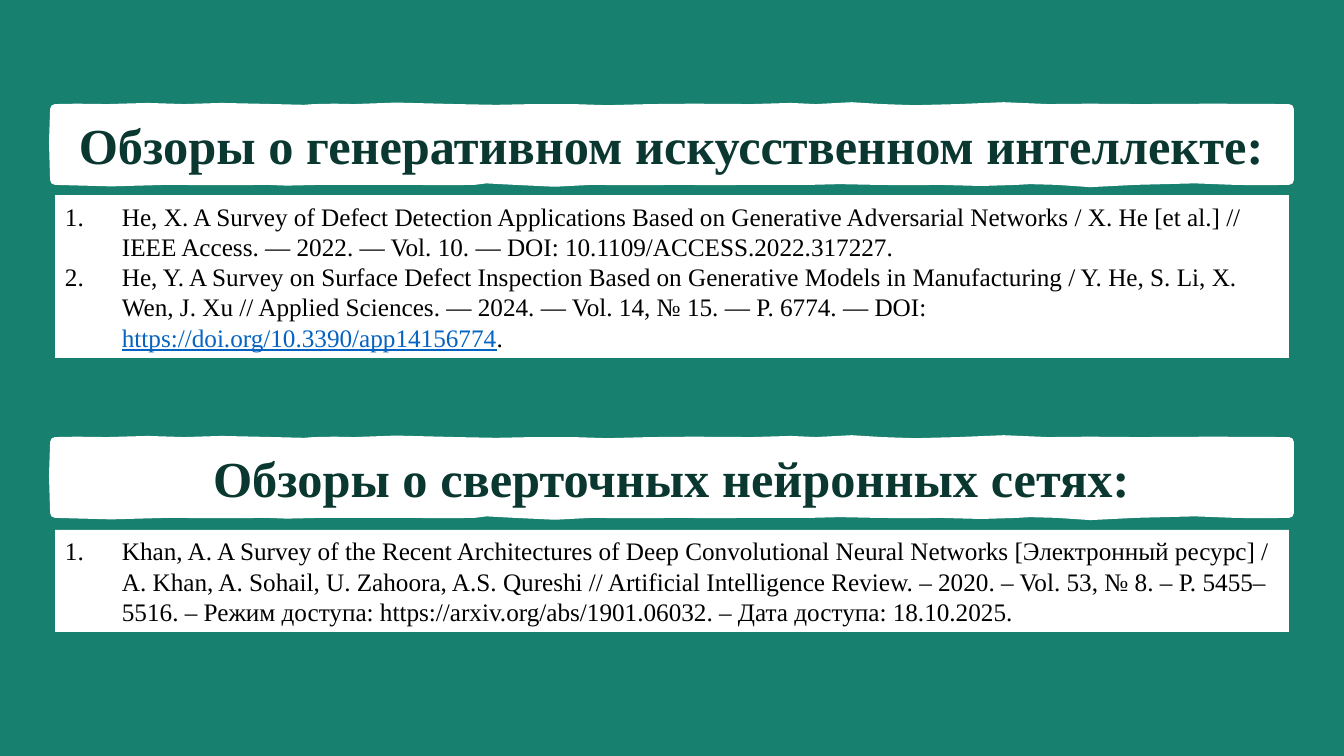
import pptx
import pptx.dml.color
import pptx.enum.shapes
import pptx.enum.text
import pptx.oxml.ns
import pptx.util
from lxml import etree

WIDTH, HEIGHT = 1344, 756
PX = 12192000 / WIDTH
FONT = "Times New Roman"
COLORS = {"background": "18806E", "panel": "FFFFFF", "heading": "0A3830",
          "text": "000000", "link": "0563C1"}

LEFT, PANEL_WIDTH = 55, 1234
BANNER_HEIGHT = 71
INDENT = 57
CURVE_STEPS = 2

# Curves along the banner's long edges: x, offset, x, offset of the handles, then end x
TOP_WAVE = [
    (12, 0, 28, -1, 52), (77, 0, 110, -3, 129), (149, 2, 179, -5, 219),
    (258, 4, 247, -2, 259), (270, 1, 289, -2, 299), (309, 1, 367, -5, 401),
    (434, 4, 449, -2, 478), (507, 1, 505, -1, 518), (530, 0, 572, 3, 595),
    (618, -4, 652, 3, 697), (741, -4, 734, 1, 761), (789, -2, 806, -3, 827),
    (846, 3, 870, 0, 903), (936, -1, 962, -4, 993), (1024, 3, 1043, -4, 1083),
    (1121, 3, 1195, -4, 1234),
]
BOTTOM_WAVE = [
    (1210, 0, 1196, 1, 1180), (1165, 0, 1121, -4, 1080), (1037, 4, 1030, 2, 1002),
    (974, -2, 971, 0, 962), (953, 1, 901, 2, 885), (869, -1, 842, 2, 821),
    (798, -2, 769, 0, 755), (742, 1, 705, -1, 690), (677, 2, 656, -1, 626),
    (596, 2, 559, -1, 536), (513, 1, 488, 4, 460), (430, -3, 427, -1, 419),
    (410, 1, 373, 0, 355), (337, 1, 295, -1, 265), (234, 2, 224, 0, 213),
    (202, 1, 149, 0, 111), (73, 0, 40, 4, 0),
]

SECTIONS = [
    {
        "heading": "Обзоры о генеративном искусственном интеллекте:",
        "banner_top": 109, "list_top": 195, "list_height": 163,
        "references": [
            [("He, X. A Survey of Defect Detection Applications Based on Generative "
              "Adversarial Networks / X. He [et al.] // IEEE Access. — 2022. — Vol. 10. — "
              "DOI: 10.1109/ACCESS.2022.317227.", "text")],
            [("He, Y. A Survey on Surface Defect Inspection Based on Generative Models in "
              "Manufacturing / Y. He, S. Li, X. Wen, J. Xu // Applied Sciences. — 2024. — "
              "Vol. 14, № 15. — P. 6774. — DOI: ", "text"),
             ("https://doi.org/10.3390/app14156774", "link"),
             (".", "text")],
        ],
    },
    {
        "heading": "Обзоры о сверточных нейронных сетях:",
        "banner_top": 442, "list_top": 530, "list_height": 102,
        "references": [
            [("Khan, A. A Survey of the Recent Architectures of Deep Convolutional Neural "
              "Networks [Электронный ресурс] / A. Khan, A. Sohail, U. Zahoora, A.S. Qureshi "
              "// Artificial Intelligence Review. – 2020. – Vol. 53, № 8. – P. 5455–5516. – "
              "Режим доступа: https://arxiv.org/abs/1901.06032. – "
              "Дата доступа: 18.10.2025.", "text")],
        ],
    },
]


def px(length):
    return pptx.util.Emu(round(length * PX))


def color(name):
    return pptx.dml.color.RGBColor.from_string(COLORS[name])


def fill_panel(shape):
    shape.shadow.inherit = False
    shape.fill.solid()
    shape.fill.fore_color.rgb = color("panel")
    shape.text_frame.word_wrap = True
    shape.text_frame.vertical_anchor = pptx.enum.text.MSO_ANCHOR.MIDDLE


def add_run(paragraph, text, size, color_name):
    run = paragraph.add_run()
    run.text = text
    run.font.name = FONT
    run.font.size = pptx.util.Pt(size)
    run.font.color.rgb = color(color_name)
    return run


def curve_points(start, first, second, end):
    """Sample a cubic curve, leaving out its start."""
    points = []
    for step in range(1, CURVE_STEPS + 1):
        t = step / CURVE_STEPS
        weights = ((1 - t) ** 3, 3 * t * (1 - t) ** 2, 3 * t * t * (1 - t), t ** 3)
        points.append(tuple(sum(weight * point[axis] for weight, point
                                in zip(weights, (start, first, second, end)))
                            for axis in (0, 1)))
    return points


def banner_outline():
    """Walk clockwise round the hand-drawn banner from its top left corner."""
    def edge(wave, y):
        return [((x1, y + d1), (x2, y + d2), (x, y)) for x1, d1, x2, d2, x in wave]

    right = [((PANEL_WIDTH + 2, 32), (PANEL_WIDTH - 2, 53), (PANEL_WIDTH, BANNER_HEIGHT))]
    left = [((-2, 51), (-1, 15), (0, 0))]
    curves = edge(TOP_WAVE, 0) + right + edge(BOTTOM_WAVE, BANNER_HEIGHT) + left
    points = [(0, 0)]
    for curve in curves:
        points += curve_points(points[-1], *curve)
    return points[:-1]


def add_banner(slide, left, top, heading):
    points = [(px(left + x), px(top + y)) for x, y in banner_outline()]
    builder = slide.shapes.build_freeform(*points[0])
    builder.add_line_segments(points[1:], close=True)
    banner = builder.convert_to_shape()
    fill_panel(banner)
    banner.line.color.rgb = color("panel")
    banner.line.width = pptx.util.Pt(7)
    etree.SubElement(banner.element.spPr.get_or_add_ln(), pptx.oxml.ns.qn("a:round"))
    paragraph = banner.text_frame.paragraphs[0]
    paragraph.alignment = pptx.enum.text.PP_ALIGN.CENTER
    add_run(paragraph, heading, 36, "heading").font.bold = True


def number_paragraph(paragraph):
    properties = paragraph._p.get_or_add_pPr()
    properties.set("marL", str(px(INDENT)))
    properties.set("indent", str(-px(INDENT)))
    etree.SubElement(properties, pptx.oxml.ns.qn("a:buAutoNum"), type="arabicPeriod")


def add_reference_list(slide, left, top, width, height, references):
    panel = slide.shapes.add_shape(pptx.enum.shapes.MSO_SHAPE.RECTANGLE,
                                   px(left), px(top), px(width), px(height))
    fill_panel(panel)
    panel.line.fill.background()
    frame = panel.text_frame
    for index, reference in enumerate(references):
        paragraph = frame.add_paragraph() if index else frame.paragraphs[0]
        number_paragraph(paragraph)
        paragraph.alignment = pptx.enum.text.PP_ALIGN.LEFT
        for text, color_name in reference:
            run = add_run(paragraph, text, 18, color_name)
            if color_name == "link":
                run.font.underline = True


def main():
    presentation = pptx.Presentation()
    presentation.slide_width, presentation.slide_height = px(WIDTH), px(HEIGHT)
    slide = presentation.slides.add_slide(presentation.slide_layouts[6])
    slide.background.fill.solid()
    slide.background.fill.fore_color.rgb = color("background")
    for section in SECTIONS:
        add_banner(slide, LEFT, section["banner_top"], section["heading"])
        add_reference_list(slide, LEFT, section["list_top"], PANEL_WIDTH,
                           section["list_height"], section["references"])
    presentation.save("out.pptx")


if __name__ == "__main__":
    main()
